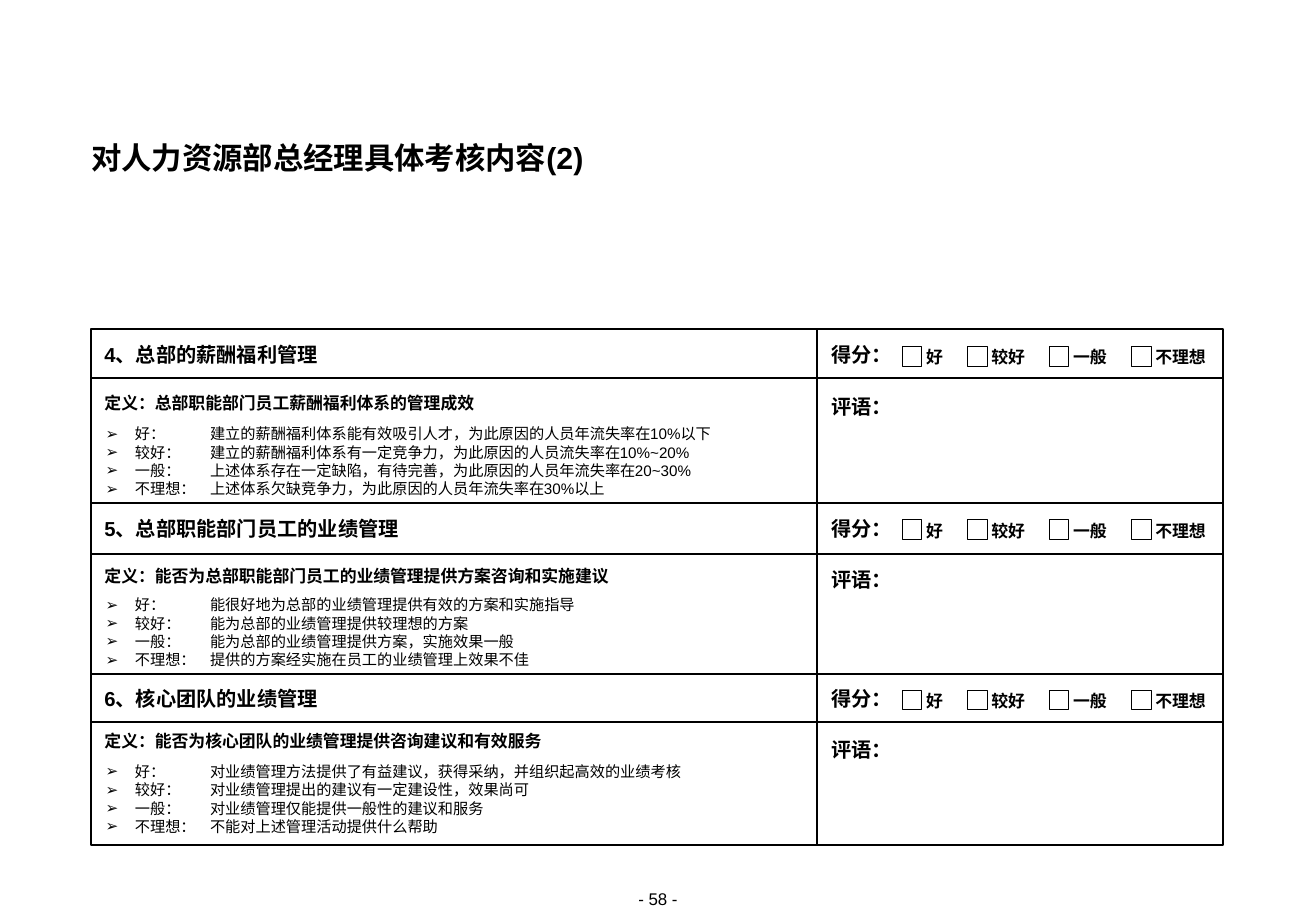
from dataclasses import dataclass

from lxml import etree
from pptx import Presentation
from pptx.dml.color import RGBColor
from pptx.enum import lang, shapes, text
from pptx.oxml import ns
from pptx.util import Pt


@dataclass(frozen=True)
class Theme:
    """Colours, font and type sizes of the form."""
    ink: RGBColor = RGBColor(0, 0, 0)
    paper: RGBColor = RGBColor(255, 255, 255)
    font: str = "Arial"
    title: float = 18
    heading: float = 12
    label: float = 10
    criteria: float = 9
    frame_line: float = 1.5
    row_line: float = 1
    box_line: float = 0.5


THEME = Theme()
FRAME_LEFT, FRAME_TOP, FRAME_WIDTH, FRAME_HEIGHT = 54, 195, 671.5, 306
DIVIDER_X = 484.6
TOPIC_X, SCORE_X = 62, 493.2
ROW_LINES = (224.2, 298, 328.3, 399.6, 428.1)
GRADES = (("好", 535), ("较好", 573.7), ("一般", 622.2), ("不理想", 671))
GRADE_BOX = 11.8

SECTIONS = (
    dict(
        topic="4、总部的薪酬福利管理", topic_y=203, definition_y=232.6, criteria_y=252.9,
        definition="定义：总部职能部门员工薪酬福利体系的管理成效",
        criteria=("建立的薪酬福利体系能有效吸引人才，为此原因的人员年流失率在10%以下",
                  "建立的薪酬福利体系有一定竞争力，为此原因的人员流失率在10%~20%",
                  "上述体系存在一定缺陷，有待完善，为此原因的人员年流失率在20~30%",
                  "上述体系欠缺竞争力，为此原因的人员年流失率在30%以上")),
    dict(
        topic="5、总部职能部门员工的业绩管理", topic_y=306, definition_y=335.5, criteria_y=354.3,
        definition="定义：能否为总部职能部门员工的业绩管理提供方案咨询和实施建议",
        criteria=("能很好地为总部的业绩管理提供有效的方案和实施指导",
                  "能为总部的业绩管理提供较理想的方案",
                  "能为总部的业绩管理提供方案，实施效果一般",
                  "提供的方案经实施在员工的业绩管理上效果不佳")),
    dict(
        topic="6、核心团队的业绩管理", topic_y=406.8, definition_y=433.4, criteria_y=453,
        definition="定义：能否为核心团队的业绩管理提供咨询建议和有效服务",
        criteria=("对业绩管理方法提供了有益建议，获得采纳，并组织起高效的业绩考核",
                  "对业绩管理提出的建议有一定建设性，效果尚可",
                  "对业绩管理仅能提供一般性的建议和服务",
                  "不能对上述管理活动提供什么帮助")),
)


def place(holder, left, top, width, height):
    """Move and size a placeholder, in points."""
    holder.left, holder.top = Pt(left), Pt(top)
    holder.width, holder.height = Pt(width), Pt(height)
    return holder


def add_bullet(paragraph):
    """Give a paragraph an arrow bullet, a hanging indent and a tab stop."""
    props = paragraph._p.get_or_add_pPr()
    props.set("marL", str(Pt(18)))
    props.set("indent", str(Pt(-17.3)))
    colour = etree.SubElement(props, ns.qn("a:buClr"))
    etree.SubElement(colour, ns.qn("a:srgbClr"), val=str(THEME.ink))
    etree.SubElement(props, ns.qn("a:buFont"), typeface=THEME.font)
    etree.SubElement(props, ns.qn("a:buChar"), char="➢")
    tabs = etree.SubElement(props, ns.qn("a:tabLst"))
    etree.SubElement(tabs, ns.qn("a:tab"), pos=str(Pt(62.6)), algn="l")


def write(holder, *lines, size, bold=False, align=text.PP_ALIGN.LEFT, spacing=1.0,
          before=0, bullets=False, wrap=True, anchor=text.MSO_ANCHOR.TOP):
    """Fill a shape with formatted lines, one paragraph each."""
    frame = holder.text_frame
    frame.margin_left = frame.margin_right = frame.margin_top = frame.margin_bottom = 0
    frame.word_wrap, frame.vertical_anchor = wrap, anchor
    frame.auto_size = text.MSO_AUTO_SIZE.SHAPE_TO_FIT_TEXT
    for index, line in enumerate(lines):
        paragraph = frame.add_paragraph() if index else frame.paragraphs[0]
        if bullets:
            add_bullet(paragraph)
        paragraph.alignment, paragraph.line_spacing = align, spacing
        paragraph.space_before = Pt(before if index else 0)
        run = paragraph.add_run()
        run.text = line
        font = run.font
        font.name, font.size, font.bold = THEME.font, Pt(size), bold
        font.color.rgb = THEME.ink
        font.language_id = lang.MSO_LANGUAGE_ID.SIMPLIFIED_CHINESE


def add_text(parent, content, left, top, width, height, **style):
    """Add a text box with one line of text."""
    box = parent.add_textbox(Pt(left), Pt(top), Pt(width), Pt(height))
    write(box, content, **style)


def add_caption(parent, content, left, top, size):
    """Add a short bold caption that is as wide as its characters."""
    add_text(parent, content, left, top, size * len(content), 13.7, size=size, bold=True,
             align=text.PP_ALIGN.CENTER, spacing=Pt(14), wrap=False,
             anchor=text.MSO_ANCHOR.MIDDLE)


def add_box(parent, left, top, width, height, weight, fill=None):
    """Add an outlined rectangle, filled or open."""
    box = parent.add_shape(shapes.MSO_SHAPE.RECTANGLE, Pt(left), Pt(top), Pt(width), Pt(height))
    box.shadow.inherit = False
    box.line.color.rgb, box.line.width = THEME.ink, Pt(weight)
    if fill is None:
        box.fill.background()
    else:
        box.fill.solid()
        box.fill.fore_color.rgb = fill


def add_rule(parent, x1, y1, x2, y2, weight):
    """Add a straight line without shadow."""
    rule = parent.add_connector(shapes.MSO_CONNECTOR.STRAIGHT, Pt(x1), Pt(y1), Pt(x2), Pt(y2))
    rule.line.color.rgb, rule.line.width = THEME.ink, Pt(weight)
    etree.SubElement(rule._element.spPr, ns.qn("a:effectLst"))


def add_grid(parent):
    """Draw the form's frame, column divider and row lines."""
    right, bottom = FRAME_LEFT + FRAME_WIDTH, FRAME_TOP + FRAME_HEIGHT
    add_box(parent, FRAME_LEFT, FRAME_TOP, FRAME_WIDTH, FRAME_HEIGHT, THEME.frame_line)
    add_rule(parent, DIVIDER_X, FRAME_TOP, DIVIDER_X, bottom, THEME.frame_line)
    for y in ROW_LINES:
        add_rule(parent, FRAME_LEFT, y, right, y, THEME.row_line)


def add_grades(parent, top):
    """Add the grouped row of tick boxes with their grades."""
    group = parent.add_group_shape()
    for grade, left in GRADES:
        add_box(group.shapes, left, top + 2.2, GRADE_BOX, GRADE_BOX, THEME.box_line, THEME.paper)
        add_caption(group.shapes, grade, left + 14.2, top + 0.8, THEME.label)


def add_section(parent, criteria_list, section):
    """Add one assessed topic with its criteria, score and comment cells."""
    top = section["topic_y"]
    heading = dict(size=THEME.heading, bold=True)
    add_text(parent, section["topic"], TOPIC_X, top, 308, 14.4, **heading)
    add_text(parent, section["definition"], TOPIC_X, section["definition_y"], 413.3, 12.2,
             size=THEME.label, bold=True)
    place(criteria_list, TOPIC_X, section["criteria_y"], 414.7, 42.5)
    lines = [f"{grade}：\t{criterion}"
             for (grade, _), criterion in zip(GRADES, section["criteria"])]
    write(criteria_list, *lines, size=THEME.criteria, spacing=0.9, before=1.1, bullets=True)
    add_text(parent, "得分：", SCORE_X, top, 39.6, 14.4, **heading)
    add_caption(parent, "评语：", SCORE_X, top + 31, THEME.heading)
    add_grades(parent, top)


def main():
    """Build the assessment form and save it."""
    deck = Presentation()
    deck.slide_width, deck.slide_height = Pt(780.48), Pt(540)
    slide = deck.slides.add_slide(deck.slide_layouts[4])
    title, *criteria_lists = slide.placeholders
    place(title, FRAME_LEFT, 84.2, FRAME_WIDTH, 20.2)
    write(title, "对人力资源部总经理具体考核内容(2)", size=THEME.title, bold=True, spacing=Pt(20))
    add_grid(slide.shapes)
    for criteria_list, section in zip(criteria_lists, SECTIONS):
        add_section(slide.shapes, criteria_list, section)
    spare = criteria_lists[len(SECTIONS)].element
    spare.getparent().remove(spare)
    add_text(slide.shapes, "- 58 -", 349.2, 527, 82, 12.2, size=THEME.label,
             align=text.PP_ALIGN.CENTER)
    deck.save("out.pptx")


if __name__ == "__main__":
    main()
